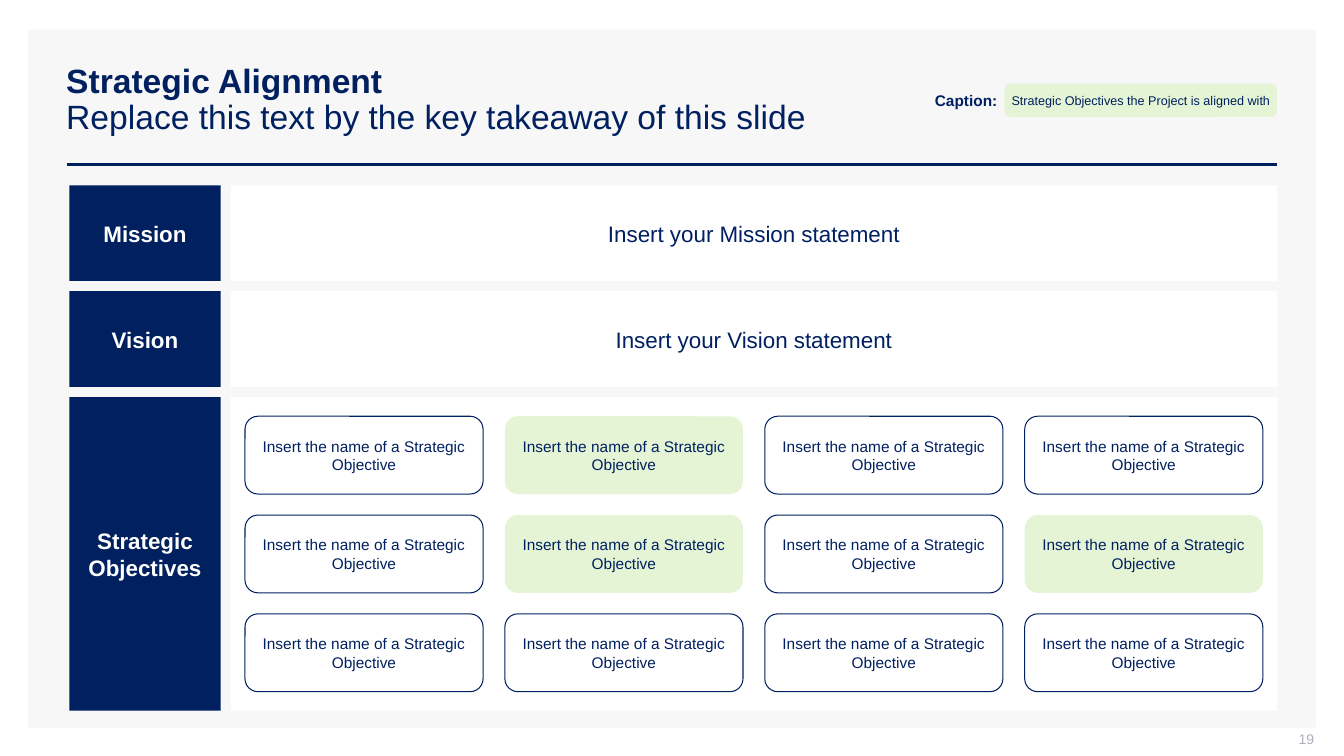
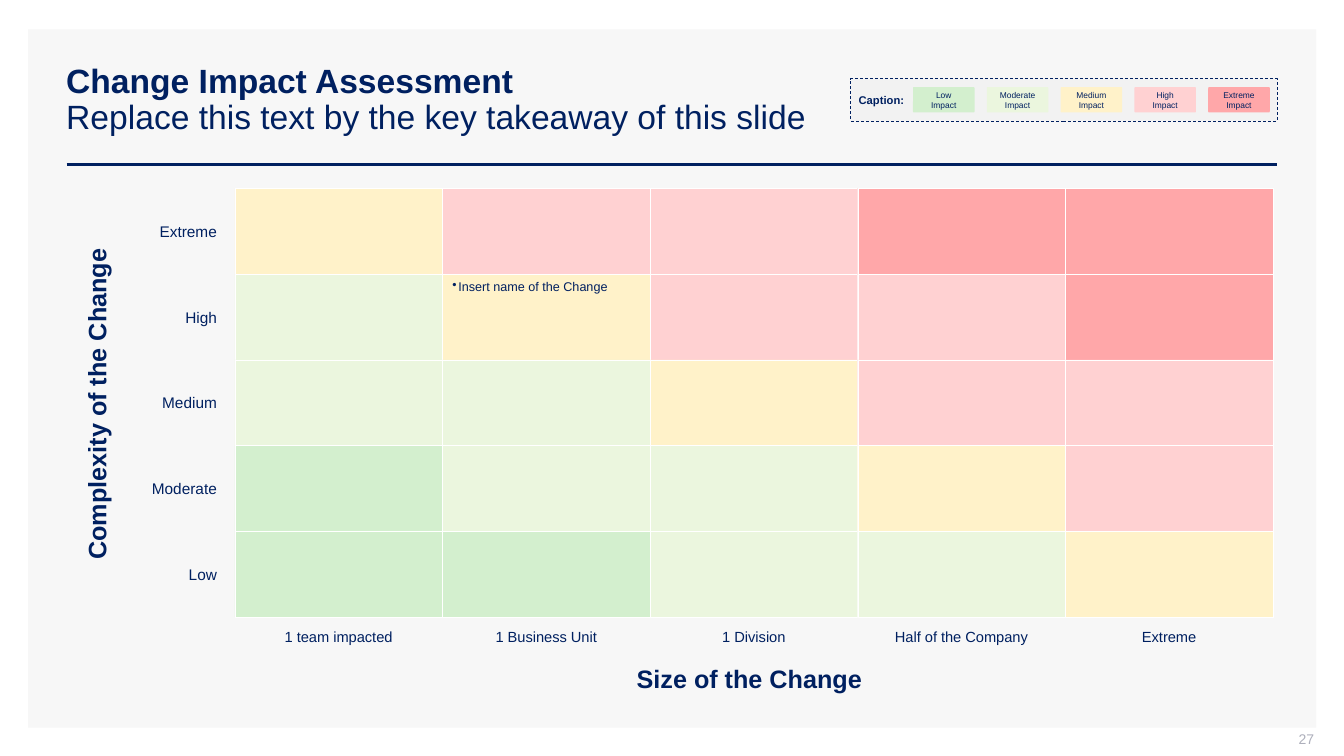
from lxml.etree import SubElement
from pptx import Presentation
from pptx.dml.color import RGBColor
from pptx.enum.dml import MSO_LINE
from pptx.enum.shapes import MSO_CONNECTOR, MSO_SHAPE
from pptx.enum.text import MSO_ANCHOR, PP_ALIGN
from pptx.oxml.ns import qn
from pptx.util import Cm, Pt

COLORS = {
    "navy": "002060", "white": "FFFFFF", "panel": "F7F7F7", "legend": "F2F2F2",
    "number": "ADAFBB", "aligned": "E5F4D4",
    "Low": "D3EFCE", "Moderate": "EBF6DE", "Medium": "FFF2C9",
    "High": "FFD1D2", "Extreme": "FFA7A9",
}
FONT = "Arial"
TAKEAWAY = "Replace this text by the key takeaway of this slide"
LEVELS = ["Low", "Moderate", "Medium", "High", "Extreme"]
IMPACTS = {
    "Extreme": [2, 3, 3, 4, 4],
    "High": [1, 2, 3, 3, 4],
    "Medium": [1, 1, 2, 3, 3],
    "Moderate": [0, 1, 1, 2, 3],
    "Low": [0, 0, 1, 1, 2],
}
SIZES = ["1 team impacted", "1 Business Unit", "1 Division", "Half of the Company", "Extreme"]
ALIGNED = {(0, 1), (1, 1), (1, 3)}
CENTER, LEFT, RIGHT = PP_ALIGN.CENTER, PP_ALIGN.LEFT, PP_ALIGN.RIGHT
INSETS = (0.25, 0.13, 0.25, 0.13)
NARROW = (0, 0.13, 0, 0.13)


def rgb(name):
    """Return the named colour."""
    return RGBColor.from_string(COLORS[name])


def write(sp, text, size, color="navy", bold=False, align=CENTER,
          anchor=MSO_ANCHOR.MIDDLE, insets=INSETS):
    """Fill a shape with one formatted paragraph and return it."""
    tf = sp.text_frame
    tf.word_wrap = True
    tf.vertical_anchor = anchor
    tf.margin_left, tf.margin_top, tf.margin_right, tf.margin_bottom = map(Cm, insets)
    p = tf.paragraphs[0]
    p.text = text
    p.alignment = align
    for r in p.runs:
        r.font.name = FONT
        r.font.size = Pt(size)
        r.font.bold = bold
        r.font.color.rgb = rgb(color)
    return p


def add_box(s, box, fill, line=None, width=0.75, kind=MSO_SHAPE.RECTANGLE):
    """Add a flat filled shape, outlined only when a line colour is given."""
    sp = s.shapes.add_shape(kind, *map(Cm, box))
    sp.shadow.inherit = False
    sp.fill.solid()
    sp.fill.fore_color.rgb = rgb(fill)
    if line:
        sp.line.color.rgb = rgb(line)
        sp.line.width = Pt(width)
    else:
        sp.line.fill.background()
    return sp


def add_label(s, box, text, size, **style):
    """Add a text box and return it."""
    sp = s.shapes.add_textbox(*map(Cm, box))
    write(sp, text, size, **style)
    return sp


def add_frame(prs, title, number):
    """Add a slide with the shared panel, title, rule and page number."""
    s = prs.slides.add_slide(prs.slide_layouts[6])
    add_box(s, (0.71, 0.74, 32.46, 17.6), "panel")
    rule = s.shapes.add_connector(MSO_CONNECTOR.STRAIGHT, Cm(1.68), Cm(4.14), Cm(32.18), Cm(4.14))
    rule.line.color.rgb = rgb("navy")
    rule.line.width = Pt(2)
    SubElement(rule._element.spPr, qn("a:effectLst"))
    sp = add_label(s, (1.42, 1.02, 30.76, 3.02), f"{title}\v{TAKEAWAY}", 24, align=LEFT)
    p = sp.text_frame.paragraphs[0]
    p.line_spacing = 0.9
    p.runs[0].font.bold = True
    add_label(s, (25.5, 18.42, 7.62, 0.53), str(number), 10, color="number",
              align=RIGHT, insets=(0.25, 0, 0, 0.13))
    return s


def add_aligned_caption(s, x, y, w, h):
    """Place the caption word and the pill that explains the green cards."""
    word_w = 1.76
    add_label(s, (x, y, word_w, h), "Caption:", 11, bold=True, align=LEFT, insets=NARROW)
    sp = add_box(s, (x + word_w, y, w - word_w, h), "aligned", kind=MSO_SHAPE.ROUNDED_RECTANGLE)
    write(sp, "Strategic Objectives the Project is aligned with", 9, insets=NARROW)


def add_objectives(s, x, y, w, h):
    """Centre a grid of objective cards in the box."""
    rows, cols = 3, 4
    card_w, card_h, gap_x, gap_y = 6, 1.96, 0.55, 0.53
    left = x + (w - cols * card_w - (cols - 1) * gap_x) / 2
    top = y + (h - rows * card_h - (rows - 1) * gap_y) / 2
    for row in range(rows):
        for col in range(cols):
            box = (left + col * (card_w + gap_x), top + row * (card_h + gap_y), card_w, card_h)
            fill, line = ("aligned", None) if (row, col) in ALIGNED else ("white", "navy")
            sp = add_box(s, box, fill, line, kind=MSO_SHAPE.ROUNDED_RECTANGLE)
            write(sp, "Insert the name of a Strategic Objective", 11)


def add_strategy_rows(s, x, y, w):
    """Stack the mission, vision and objectives rows."""
    head_w, gap = 3.81, 0.26
    body_x, body_w = x + head_w + gap, w - head_w - gap
    for head, statement, h in [
        ("Mission", "Insert your Mission statement", 2.41),
        ("Vision", "Insert your Vision statement", 2.41),
        ("Strategic Objectives", None, 7.9),
    ]:
        write(add_box(s, (x, y, head_w, h), "navy"), head, 16, color="white",
              bold=True, insets=NARROW)
        body = add_box(s, (body_x, y, body_w, h), "white")
        if statement:
            write(body, statement, 16)
        else:
            add_objectives(s, body_x, y, body_w, h)
        y += h + gap


def add_impact_legend(s, x, y, w, h):
    """Place the dashed legend with one chip per impact level."""
    frame = add_box(s, (x, y, w, h), "legend", "navy", 0.5)
    frame.line.dash_style = MSO_LINE.DASH
    write(frame, "Caption:", 8, bold=True, align=LEFT, insets=(0.2, 0.2, 0.2, 0.2))
    chip_w, chip_h, pitch = 1.55, 0.64, 1.86
    for i, level in enumerate(LEVELS):
        box = (x + 1.57 + i * pitch, y + (h - chip_h) / 2, chip_w, chip_h)
        chip = add_box(s, box, level, kind=MSO_SHAPE.ROUNDED_RECTANGLE)
        chip.adjustments[0] = 0.04
        write(chip, f"{level} Impact", 6)


def add_change_bullet(cell):
    """Write the bulleted name of a change into a cell."""
    p = write(cell, "Insert name of the Change", 9, align=LEFT, anchor=MSO_ANCHOR.TOP)
    pPr = p._p.get_or_add_pPr()
    pPr.set("marL", str(Cm(0.15)))
    pPr.set("indent", str(-Cm(0.15)))
    SubElement(pPr, qn("a:buChar")).set("char", "•")


def add_axis_title(s, text, cx, cy, w, rotation=0):
    """Centre a bold axis title box on a point."""
    h = 1.27
    sp = add_label(s, (cx - w / 2, cy - h / 2, w, h), text, 18, bold=True, align=LEFT,
                   insets=(0.51, 0.25, 0, 0.25))
    sp.rotation = rotation


def add_impact_matrix(s, x, y, w, h):
    """Place the heat map with its row labels, column labels and axis titles."""
    cell_w, cell_h = w / len(SIZES), h / len(IMPACTS)
    for row, (complexity, impacts) in enumerate(IMPACTS.items()):
        top = y + row * cell_h
        add_label(s, (x - 3.2, top, 3, cell_h), complexity, 11, align=RIGHT)
        for col, impact in enumerate(impacts):
            box = (x + col * cell_w, top, cell_w, cell_h)
            cell = add_box(s, box, LEVELS[impact], "white", 0.25)
            if (row, col) == (1, 1):
                add_change_bullet(cell)
    for col, size in enumerate(SIZES):
        add_label(s, (x + col * cell_w, y + h + 0.13, cell_w, 0.72), size, 10.5)
    add_axis_title(s, "Complexity of the Change", x - 3.49, y + h / 2, 8.92, 270)
    add_axis_title(s, "Size of the Change", x + w / 2, y + h + 1.55, 6.93)


def main():
    """Build both slides and save them."""
    prs = Presentation()
    prs.slide_width, prs.slide_height = Cm(33.87), Cm(19.05)
    s = add_frame(prs, "Strategic Alignment", 19)
    add_aligned_caption(s, 23.56, 2.11, 8.62, 0.84)
    add_strategy_rows(s, 1.75, 4.67, 30.43)
    s = add_frame(prs, "Change Impact Assessment", 27)
    add_impact_legend(s, 21.44, 1.98, 10.74, 1.07)
    add_impact_matrix(s, 5.92, 4.75, 26.16, 10.8)
    prs.save("out.pptx")


if __name__ == "__main__":
    main()
